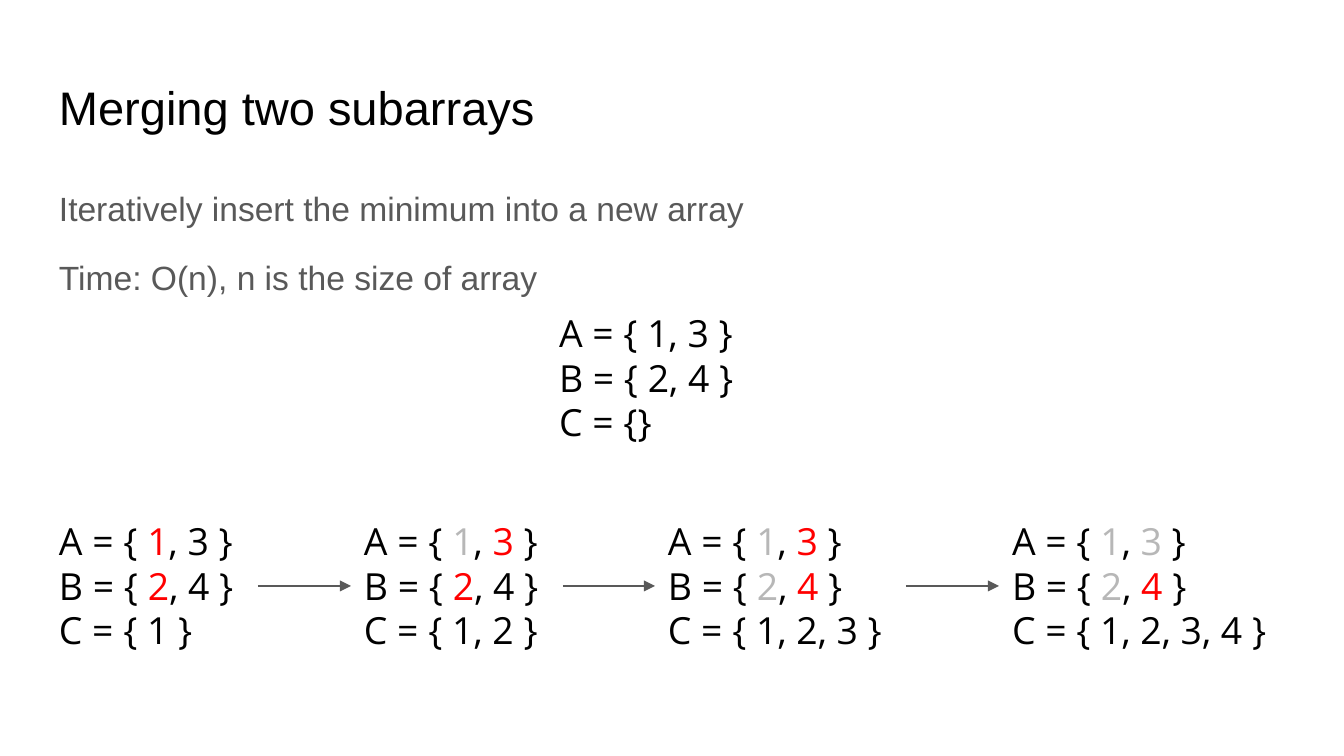
"""Build the slide that traces the merging of two sorted subarrays."""
from itertools import groupby, pairwise

from lxml.etree import SubElement
from pptx import Presentation
from pptx.dml.color import RGBColor
from pptx.enum.shapes import MSO_CONNECTOR
from pptx.enum.text import MSO_AUTO_SIZE
from pptx.oxml.ns import qn
from pptx.util import Pt

SCALE = 9144000 / 1344
COLORS = {"black": "000000", "body": "595959", "next": "FF0000", "used": "B7B7B7"}
MARGIN = 46
INSET = 13


def px(length):
    return round(length * SCALE)


def add_text(lines, *, left, top, width, height, size, font="Arial",
             spacing=None, gap=0, grow=False):
    box = slide.shapes.add_textbox(px(left), px(top), px(width), px(height))
    frame = box.text_frame
    frame.word_wrap = True
    frame.auto_size = MSO_AUTO_SIZE.SHAPE_TO_FIT_TEXT if grow else MSO_AUTO_SIZE.NONE
    frame.margin_left = frame.margin_right = px(INSET)
    frame.margin_top = frame.margin_bottom = px(INSET)
    for index, pieces in enumerate(lines):
        paragraph = frame.paragraphs[0] if index == 0 else frame.add_paragraph()
        if spacing:
            paragraph.line_spacing = spacing
        if index and gap:
            paragraph.space_before = Pt(gap)
        for color, group in groupby(pieces, key=lambda piece: piece[1]):
            run = paragraph.add_run()
            run.text = "".join(text for text, _ in group)
            run.font.name = font
            run.font.size = Pt(size)
            run.font.color.rgb = RGBColor.from_string(COLORS[color])


presentation = Presentation()
presentation.slide_width = px(1344)
presentation.slide_height = px(756)
slide = presentation.slides.add_slide(presentation.slide_layouts[6])

add_text([[("Merging two subarrays", "black")]],
         left=MARGIN, top=66, width=1253, height=85, size=25.2)
add_text([[("Iteratively insert the minimum into a new array", "body")],
          [("Time: O(n), n is the size of array", "body")]],
         left=MARGIN, top=169, width=1253, height=503, size=18, spacing=1.15, gap=12)

array_format = {"height": 163, "size": 20, "font": "Open Sans", "grow": True}
start = ["A = { 1, 3 }", "B = { 2, 4 }", "C = {}"]
add_text([[(line, "black")] for line in start],
         left=546, top=297, width=212, **array_format)

subarrays = {"A": [1, 3], "B": [2, 4]}
steps = [(46, 212), (351, 212), (655, 251), (999, 293)]
steps_top = 505
for step, (left, width) in enumerate(steps, start=1):
    lines = []
    for name, values in subarrays.items():
        smallest_left = min((value for value in values if value >= step), default=None)
        pieces = [(f"{name} = {{ ", "black")]
        for position, value in enumerate(values):
            if position:
                pieces.append((", ", "black"))
            if value < step:
                color = "used"
            else:
                color = "next" if value == smallest_left else "black"
            pieces.append((str(value), color))
        lines.append(pieces + [(" }", "black")])
    merged = ", ".join(str(value) for value in range(1, step + 1))
    lines.append([(f"C = {{ {merged} }}", "black")])
    add_text(lines, left=left, top=steps_top, width=width, **array_format)

arrow_y = px(586)
for (left, width), (next_left, _) in pairwise(steps):
    arrow = slide.shapes.add_connector(
        MSO_CONNECTOR.STRAIGHT, px(left + width), arrow_y, px(next_left), arrow_y)
    arrow.line.color.rgb = RGBColor.from_string(COLORS["body"])
    arrow.line.width = Pt(0.75)
    SubElement(arrow.line._get_or_add_ln(), qn("a:tailEnd"), type="triangle")
    SubElement(arrow._element.spPr, qn("a:effectLst"))

presentation.save("out.pptx")
